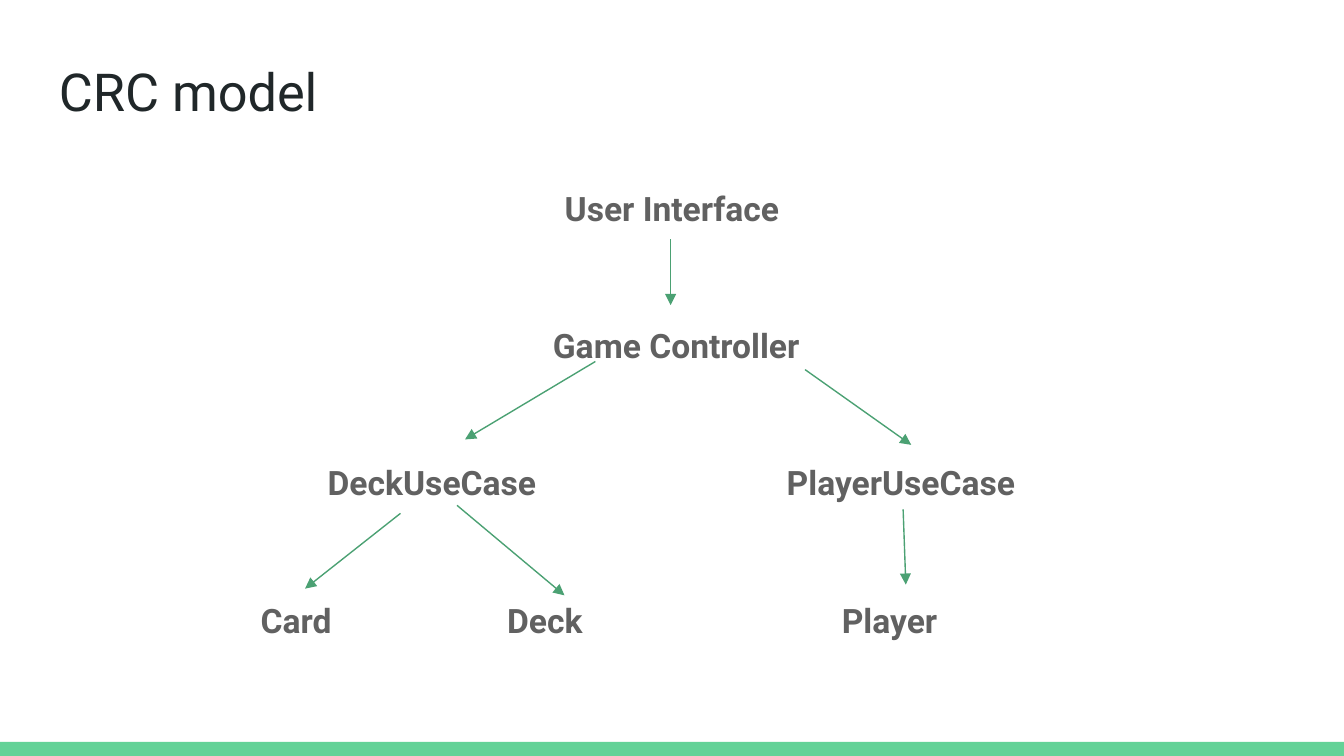
"""Build the CRC model slide: a tree of class names joined by arrows."""
import pptx
import pptx.util
import pptx.dml.color
import pptx.enum.shapes
import pptx.enum.text
import pptx.oxml.ns
from lxml import etree

THEME = {
    "font": "Roboto",
    "title": ("202729", 28),
    "label": ("616161", 18),
    "arrow": ("4BA173", 0.75),
    "band": "63D297",
}

deck = pptx.Presentation()
deck.slide_width = pptx.util.Inches(10)
deck.slide_height = deck.slide_width * 9 // 16
page = deck.slides.add_slide(deck.slide_layouts[6])
CELL = deck.slide_width / 100
MARGIN, INSET = 3.4, 1


def grid(*cells):
    """Turn grid cells into slide lengths."""
    return [round(cell * CELL) for cell in cells]


def add_text(lines, style, area, bold):
    """Place lines of text in an area of the grid and return the paragraphs."""
    box = page.shapes.add_textbox(*grid(*area))
    frame = box.text_frame
    frame.word_wrap = True
    frame.margin_left = frame.margin_right = grid(INSET)[0]
    frame.margin_top = frame.margin_bottom = grid(INSET)[0]
    frame.text = "\n".join(lines)
    color, size = THEME[style]
    for para in frame.paragraphs:
        for span in para.runs:
            span.font.name = THEME["font"]
            span.font.size = pptx.util.Pt(size)
            span.font.bold = bold
            span.font.color.rgb = pptx.dml.color.RGBColor.from_string(color)
    return frame.paragraphs


band = page.shapes.add_shape(
    pptx.enum.shapes.MSO_SHAPE.RECTANGLE, *grid(0, 55.2, 100, 1.05))
band.shadow.inherit = False
band.fill.solid()
band.fill.fore_color.rgb = pptx.dml.color.RGBColor.from_string(THEME["band"])
band.line.fill.background()

add_text(["CRC model"], "title", (MARGIN, 3.4, 93.2, 9.1), False)

levels = [
    ("User Interface", []),
    (" Game Controller", []),
    ("\tDeckUseCase\tPlayerUseCase", [32.15, 67.05]),
    ("\tCard\tDeck\tPlayer", [22.05, 40.55, 66.2]),
]
paras = add_text([words for words, _ in levels], "label",
                 (MARGIN, 12.5, 93.2, 37.4), True)
for level, (para, (_, centers)) in enumerate(zip(paras, levels)):
    para.line_spacing = 1.15
    para.space_before = pptx.util.Pt(48.8 if level else 0)
    if not centers:
        para.alignment = pptx.enum.text.PP_ALIGN.CENTER
        continue
    para.alignment = pptx.enum.text.PP_ALIGN.LEFT
    stops = etree.SubElement(para._p.get_or_add_pPr(), pptx.oxml.ns.qn("a:tabLst"))
    for position in grid(*[center - MARGIN - INSET for center in centers]):
        etree.SubElement(stops, pptx.oxml.ns.qn("a:tab"), pos=str(position), algn="ctr")

arrows = [
    (29.8, 38.2, 22.7, 43.8),
    (34, 37.6, 42, 44.3),
    (67.2, 37.9, 67.4, 43.5),
    (44.3, 26.9, 34.6, 32.7),
    (59.9, 27.5, 67.8, 33.1),
    (49.9, 17.8, 49.9, 22.7),
]
color, weight = THEME["arrow"]
for ends in arrows:
    arrow = page.shapes.add_connector(
        pptx.enum.shapes.MSO_CONNECTOR.STRAIGHT, *grid(*ends))
    arrow.line.color.rgb = pptx.dml.color.RGBColor.from_string(color)
    arrow.line.width = pptx.util.Pt(weight)
    etree.SubElement(arrow.line._get_or_add_ln(), pptx.oxml.ns.qn("a:tailEnd"),
                     type="triangle")
    etree.SubElement(arrow._element.spPr, pptx.oxml.ns.qn("a:effectLst"))

deck.save("out.pptx")
